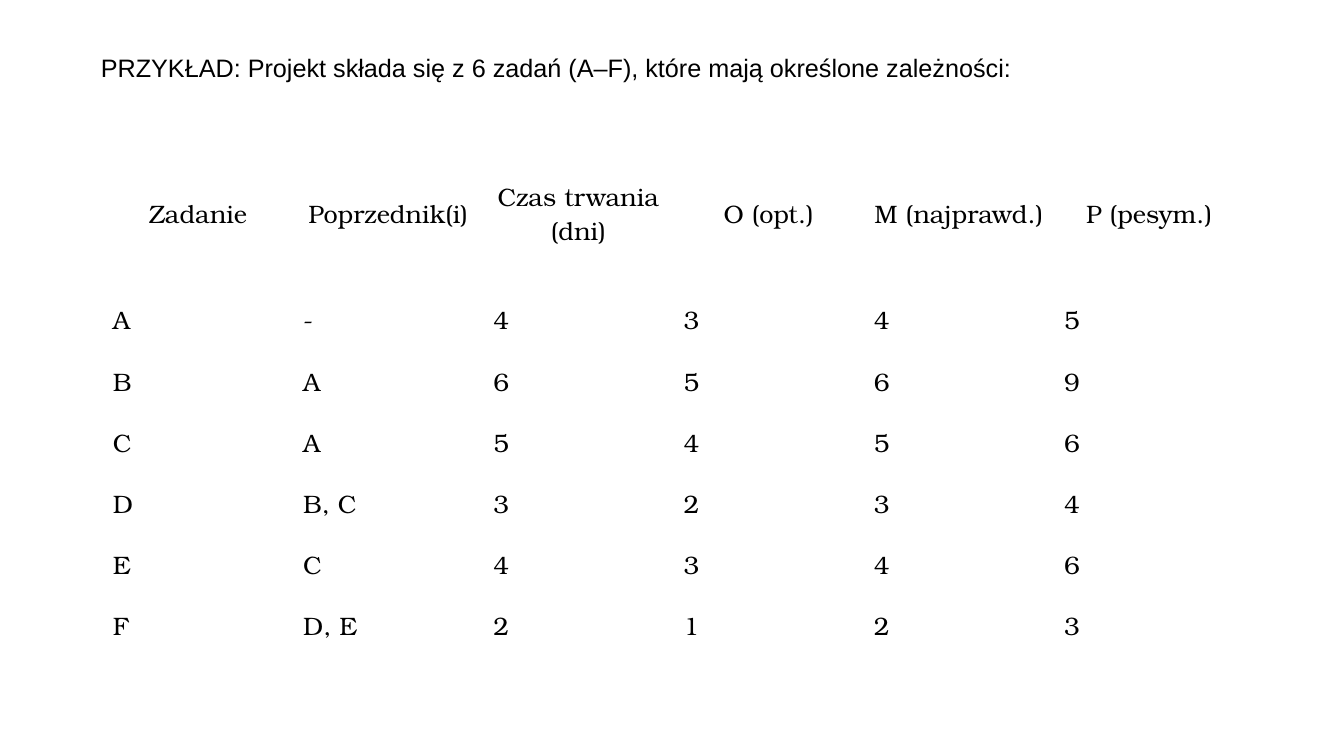
from pptx import Presentation
from pptx.dml.color import RGBColor
from pptx.enum.text import MSO_ANCHOR, MSO_AUTO_SIZE, PP_ALIGN
from pptx.util import Inches, Pt

MIDDLE, TOP = MSO_ANCHOR.MIDDLE, MSO_ANCHOR.TOP
LEFT, CENTER = PP_ALIGN.LEFT, PP_ALIGN.CENTER
FIT = MSO_AUTO_SIZE.SHAPE_TO_FIT_TEXT

WIDE, HIGH = 13.33, 7.5
INK = "000000"
HEAD_FONT, BODY_FONT = "Arial", "TeX Gyre Bonum"
HEAD_BOX = (0.9, 0.47, 11.45, 0.4)
TASK_BOX = (1.02, 1.36, 11.32, 5.15)
TOP_ROW = 1.51

HEAD = "PRZYKŁAD: Projekt składa się z 6 zadań (A–F), które mają określone zależności:"
TASKS = [
    ("Zadanie", "Poprzednik(i)", "Czas trwania (dni)",
     "O (opt.)", "M (najprawd.)", "P (pesym.)"),
    ("A", "-", "4", "3", "4", "5"),
    ("B", "A", "6", "5", "6", "9"),
    ("C", "A", "5", "4", "5", "6"),
    ("D", "B, C", "3", "2", "3", "4"),
    ("E", "C", "4", "3", "4", "6"),
    ("F", "D, E", "2", "1", "2", "3"),
]


def color(code):
    return RGBColor.from_string(code)


def assign(item, values):
    for name, value in values.items():
        setattr(item, name, value)


def write(frame, text, font, align):
    frame.text = text
    line = frame.paragraphs[0]
    line.alignment = align
    face = line.runs[0].font
    assign(face, {"name": font, "size": Pt(18), "bold": False})
    face.color.rgb = color(INK)


def add_head(slide, box):
    title = slide.shapes.title
    assign(title, dict(zip(("left", "top", "width", "height"), map(Inches, box))))
    write(title.text_frame, HEAD, HEAD_FONT, LEFT)
    assign(title.text_frame, {"word_wrap": True, "auto_size": FIT,
                              "vertical_anchor": TOP})


def add_tasks(slide, box):
    rows, cols = len(TASKS), len(TASKS[0])
    table = slide.shapes.add_table(rows, cols, *map(Inches, box)).table
    assign(table, {"first_row": False, "horz_banding": False})
    for col in table.columns:
        col.width = Inches(box[2] / cols)
    for r, texts in enumerate(TASKS):
        high = (box[3] - TOP_ROW) / (rows - 1) if r else TOP_ROW
        table.rows[r].height = Inches(high)
        for c, text in enumerate(texts):
            cell = table.cell(r, c)
            cell.fill.background()
            cell.vertical_anchor = MIDDLE
            write(cell.text_frame, text, BODY_FONT, LEFT if r else CENTER)


def main():
    deck = Presentation()
    assign(deck, {"slide_width": Inches(WIDE), "slide_height": Inches(HIGH)})
    slide = deck.slides.add_slide(deck.slide_layouts[5])
    add_head(slide, HEAD_BOX)
    add_tasks(slide, TASK_BOX)
    deck.save("out.pptx")


if __name__ == "__main__":
    main()
